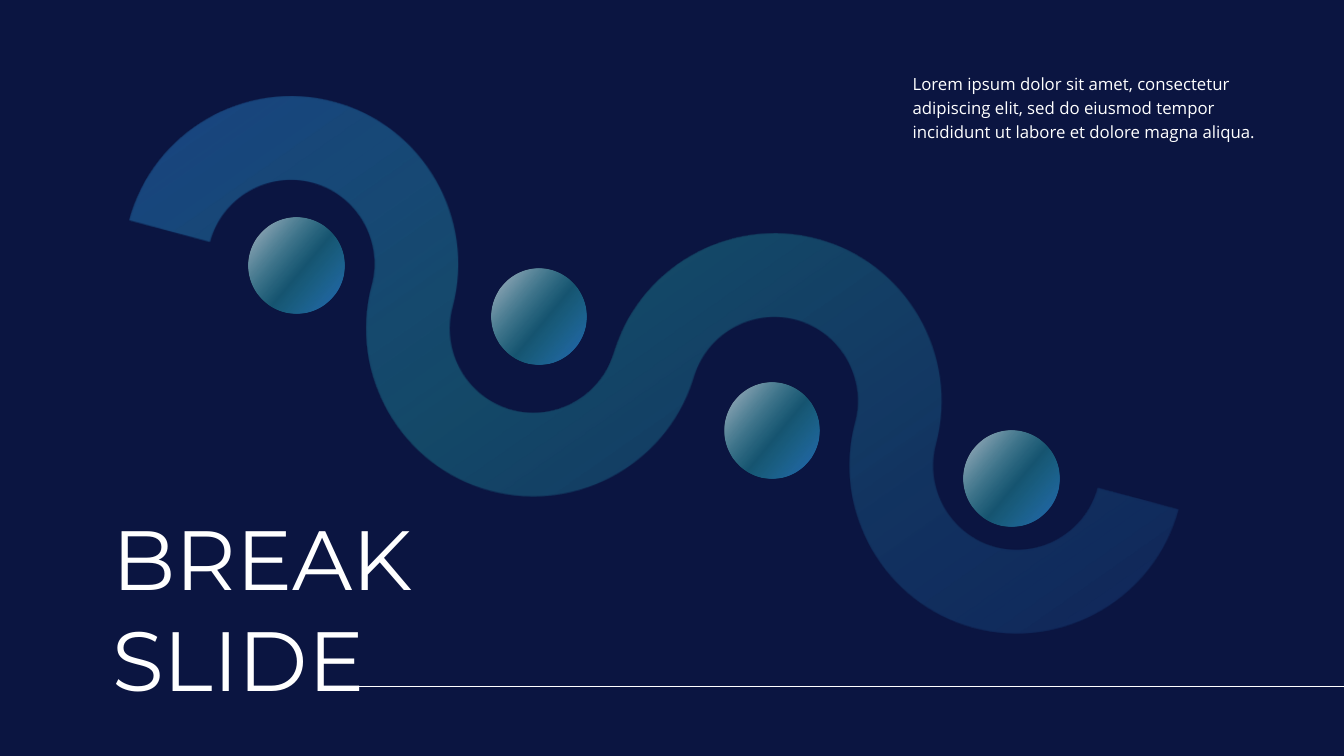
from lxml import etree
from pptx import Presentation
from pptx.dml.color import RGBColor
from pptx.enum.shapes import MSO_CONNECTOR, MSO_SHAPE
from pptx.oxml import parse_xml
from pptx.oxml.ns import nsdecls, qn
from pptx.util import Cm, Pt

STRAIGHT = MSO_CONNECTOR.STRAIGHT
OVAL = MSO_SHAPE.OVAL

COLORS = {
    "night": "0B1541",
    "white": "FFFFFF",
    "blue": "2F82E5",
    "teal": "2AC4C4",
}
WAVE_STOPS = [(0, "blue", 42), (44, "teal", 29), (100, "blue", 13)]
BEAD_STOPS = [(0, "white", 71), (55, "teal", 36), (100, "blue", 73)]
GRADIENT_ANGLE = 40

TITLE_FORMAT = {"name": "Montserrat", "size": Pt(60)}
INTRO_FORMAT = {"name": "Open Sans", "size": Pt(12)}

BEAD_SIZE = 2.41
BEAD_CORNERS = [(6.26, 5.48), (12.38, 6.77), (18.25, 9.64), (24.28, 10.85)]
HANDLE = 0.55
HALF_CIRCLE = [(-1, 0), (-1, HANDLE), (-HANDLE, 1), (0, 1),
               (HANDLE, 1), (1, HANDLE), (1, 0)]


def rgb(name):
    return RGBColor.from_string(COLORS[name])


def paint_gradient(shape, stops):
    stop_xml = "".join(
        f'<a:gs pos="{position * 1000}"><a:srgbClr val="{COLORS[color]}">'
        f'<a:alpha val="{opacity * 1000}"/></a:srgbClr></a:gs>'
        for position, color, opacity in stops
    )
    gradient = parse_xml(
        f'<a:gradFill rotWithShape="1" {nsdecls("a")}><a:gsLst>{stop_xml}</a:gsLst>'
        f'<a:lin ang="{GRADIENT_ANGLE * 60000}" scaled="0"/></a:gradFill>'
    )
    shape.shadow.inherit = False
    shape.line.fill.background()
    shape.fill.background()
    properties = shape._element.spPr
    properties.replace(properties.find(qn("a:noFill")), gradient)


def half_circle(center_x, center_y, radius, side):
    return [
        (Cm(center_x + radius * x), Cm(center_y - side * radius * y))
        for x, y in HALF_CIRCLE
    ]


def wave_arcs(width, height):
    outer = width / 6.5
    inner = outer / 2
    upper_edge, lower_edge = [], []
    for index in range(4):
        center_x = outer * (1 + 1.5 * index)
        center_y = outer if index < 2 else height - outer
        side, upper, lower = (1, outer, inner) if index % 2 == 0 else (-1, inner, outer)
        upper_edge.append(half_circle(center_x, center_y, upper, side))
        lower_edge.append(half_circle(center_x, center_y, lower, side)[::-1])
    return upper_edge + lower_edge[::-1]


def add_command(outline, tag, points):
    command = etree.SubElement(outline, qn(tag))
    for x, y in points:
        etree.SubElement(command, qn("a:pt"), x=str(x), y=str(y))


def add_wave(slide, left, top, width, height):
    builder = slide.shapes.build_freeform(Cm(left), Cm(top))
    builder.add_line_segments([(Cm(left + width), Cm(top + height))])
    wave = builder.convert_to_shape()
    outline = next(wave._element.iter(qn("a:path")))
    for command in list(outline):
        outline.remove(command)
    for index, arc in enumerate(wave_arcs(width, height)):
        add_command(outline, "a:lnTo" if index else "a:moveTo", arc[:1])
        add_command(outline, "a:cubicBezTo", arc[1:4])
        add_command(outline, "a:cubicBezTo", arc[4:])
    add_command(outline, "a:close", [])
    wave.rotation = 15
    paint_gradient(wave, WAVE_STOPS)


def add_beads(slide, corners, size):
    for left, top in corners:
        bead = slide.shapes.add_shape(OVAL, Cm(left), Cm(top), Cm(size), Cm(size))
        paint_gradient(bead, BEAD_STOPS)


def add_copy(slide, text, text_format, left, top, width, height, spacing=1.0):
    frame = slide.shapes.add_textbox(Cm(left), Cm(top), Cm(width), Cm(height)).text_frame
    frame.word_wrap = True
    paragraph = frame.paragraphs[0]
    paragraph.line_spacing = spacing
    run = paragraph.add_run()
    run.text = text
    for attribute, value in text_format.items():
        setattr(run.font, attribute, value)
    run.font.color.rgb = rgb("white")


def add_rule(slide, left, top, width):
    rule = slide.shapes.add_connector(
        STRAIGHT, Cm(left), Cm(top), Cm(left + width), Cm(top))
    rule.line.color.rgb = rgb("white")
    rule.line.width = Pt(0.5)
    etree.SubElement(rule._element.spPr, qn("a:effectLst"))


def build_break_slide(deck):
    slide = deck.slides.add_slide(deck.slide_layouts[6])
    background = slide.background.fill
    background.solid()
    background.fore_color.rgb = rgb("night")
    add_copy(slide, "BREAK SLIDE", TITLE_FORMAT, 2.58, 12.65, 11.4, 5.38)
    add_wave(slide, 2.77, 4.88, 27.43, 8.62)
    add_beads(slide, BEAD_CORNERS, BEAD_SIZE)
    add_copy(
        slide,
        "Lorem ipsum dolor sit amet, consectetur adipiscing elit, sed do eiusmod "
        "tempor incididunt ut labore et dolore magna aliqua.",
        INTRO_FORMAT, 22.75, 1.63, 9.96, 2.06, spacing=1.2)
    add_rule(slide, 8.67, 17.3, 25.2)


def main():
    deck = Presentation()
    deck.slide_width = Cm(33.87)
    deck.slide_height = Cm(19.05)
    build_break_slide(deck)
    deck.save("out.pptx")


if __name__ == "__main__":
    main()
